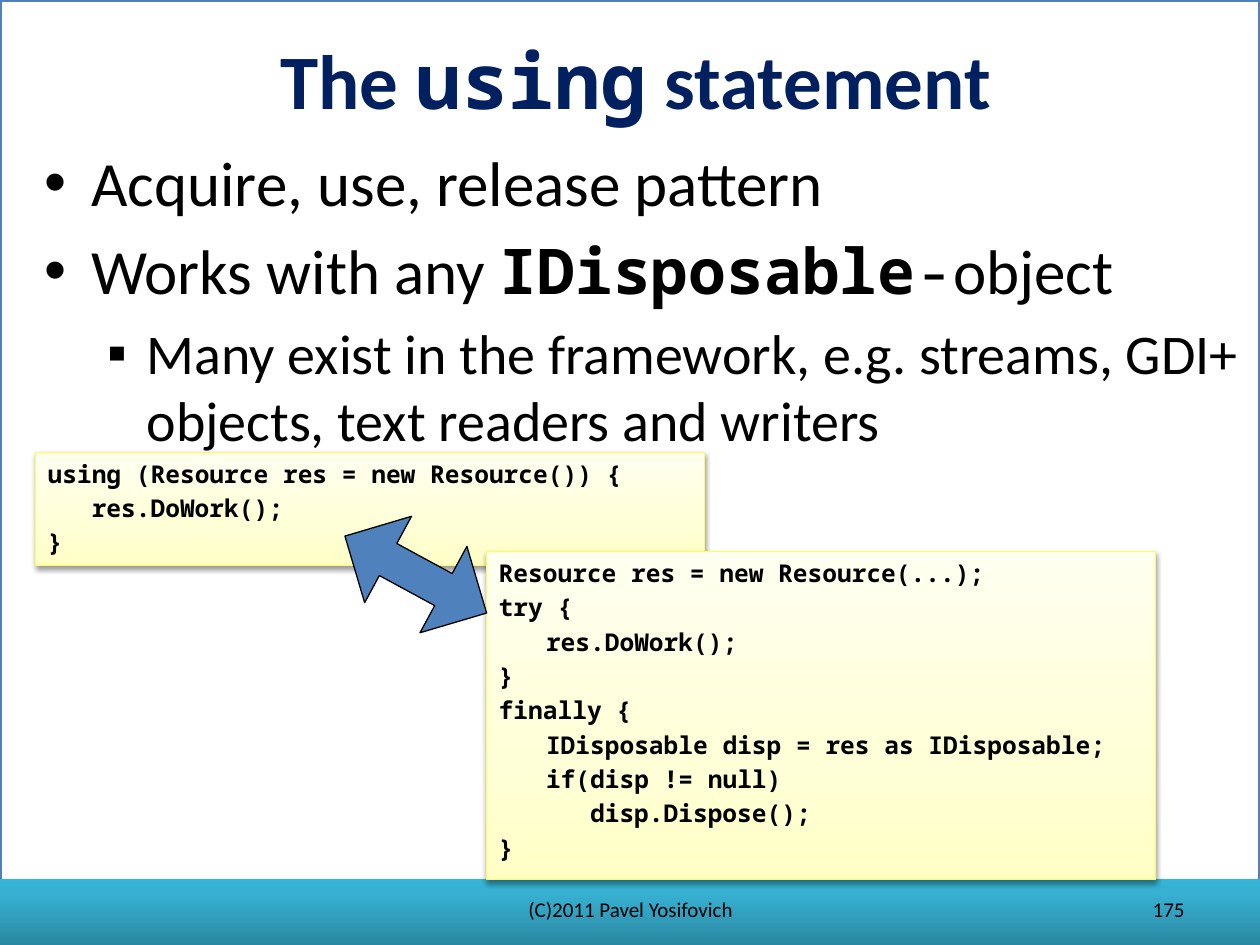
from pptx import Presentation
from pptx.dml.color import RGBColor
from pptx.enum.shapes import MSO_SHAPE as Shape
from pptx.enum.text import MSO_ANCHOR as Anchor, MSO_AUTO_SIZE as AutoSize, PP_ALIGN as Align
from pptx.oxml.ns import qn
from pptx.util import Pt
from lxml.etree import SubElement

COLOURS = {
    "white": "FFFFFF", "black": "000000", "navy": "002060", "blue": "4F81BD",
    "yellow": "FDFD5F",
}
BAND_STOPS = [(0, "2A88A2"), (80, "37B1D2"), (100, "34B4D6")]
CODE_STOPS = [(0, "FFFFC6"), (35, "FFFFD7"), (100, "FFFFF0")]
SANS, MONO = "Calibri", "Noto Sans Mono"

TITLE = [("The ", SANS, True), ("using", MONO, True), (" statement", SANS, True)]
BULLETS = [
    (0, [("Acquire, use, release pattern", SANS, False)]),
    (0, [("Works with any ", SANS, False), ("IDisposable", MONO, True),
         ("-", MONO, False), ("object", SANS, False)]),
    (1, [("Many exist in the framework, e.g. streams, GDI+ objects, "
          "text readers and writers", SANS, False)]),
]
LEVELS = [("•", 36, 27, -27), ("▪", 32, 58.5, -22.5)]
TAB, STEP = 27, 25.2
CODE_BOXES = [
    ((20.16, 258.48, 382.32, 64.8), [
        (0, "using (Resource res = new Resource()) {"),
        (STEP, "res.DoWork();"),
        (0, "}"),
    ]),
    ((277.92, 315.36, 382.32, 187.2), [
        (0, "Resource res = new Resource(...);"),
        (0, "try {"),
        (TAB, "res.DoWork();"),
        (0, "}"),
        (0, "finally {"),
        (TAB, "IDisposable disp = res as IDisposable;"),
        (TAB, "if(disp != null)"),
        (TAB + STEP, "disp.Dispose();"),
        (0, "}"),
    ]),
]
FOOTERS = [
    ("(C)2011 Pavel Yosifovich", (246.24, 509.76, 228.24, 19.44), Align.CENTER),
    ("175", (516.24, 509.76, 167.76, 19.44), Align.RIGHT),
]


def colour(name):
    return RGBColor.from_string(COLOURS[name])


def place(shape, box):
    shape.left, shape.top, shape.width, shape.height = map(Pt, box)


def add_shape(kind, box, fill=None, line=None, weight=0.75):
    shape = slide.shapes.add_shape(kind, *map(Pt, box))
    shape.shadow.inherit = False
    if fill:
        shape.fill.solid()
        shape.fill.fore_color.rgb = colour(fill)
    if line:
        shape.line.color.rgb = colour(line)
        shape.line.width = Pt(weight)
    else:
        shape.line.fill.background()
    return shape


def add_gradient(shape, stops):
    shape.fill.gradient()
    shape.fill.gradient_angle = 90
    stop_list = shape.element.spPr.find(qn("a:gradFill")).find(qn("a:gsLst"))
    for stop in list(stop_list):
        stop_list.remove(stop)
    for position, value in stops:
        stop = SubElement(stop_list, qn("a:gs"), pos=str(position * 1000))
        SubElement(stop, qn("a:srgbClr"), val=value)


def add_shadow(shape, opacity, distance):
    effects = shape.element.spPr.find(qn("a:effectLst"))
    shadow = SubElement(effects, qn("a:outerShdw"), blurRad=str(Pt(3.1)),
                        dist=str(Pt(distance)), dir="5400000", rotWithShape="0")
    shade = SubElement(shadow, qn("a:srgbClr"), val=COLOURS["black"])
    SubElement(shade, qn("a:alpha"), val=str(opacity * 1000))


def set_indent(paragraph, margin, indent):
    properties = paragraph._p.get_or_add_pPr()
    properties.set("marL", str(Pt(margin)))
    properties.set("indent", str(Pt(indent)))
    return properties


def format_paragraph(paragraph, size, name="black"):
    paragraph.font.size = Pt(size)
    paragraph.font.color.rgb = colour(name)


def add_runs(paragraph, runs):
    for text, font, bold in runs:
        run = paragraph.add_run()
        run.text = text
        run.font.name = font
        run.font.bold = bold


def next_paragraph(frame, index):
    return frame.add_paragraph() if index else frame.paragraphs[0]


presentation = Presentation()
presentation.slide_width, presentation.slide_height = Pt(720), Pt(540)
slide = presentation.slides.add_slide(presentation.slide_layouts[1])
title, body = slide.shapes.title, slide.placeholders[1]

page = add_shape(Shape.RECTANGLE, (0, 0, 720, 540), "white", "blue", 2)
band = add_shape(Shape.RECTANGLE, (0, 502.56, 720, 37.44))
add_gradient(band, BAND_STOPS)
add_shadow(band, 35, 1.8)
for shape in (page, band):
    title.element.addprevious(shape.element)

place(title, (14.4, 12.24, 697.68, 65.52))
title.text_frame.auto_size = AutoSize.NONE
title.text_frame.vertical_anchor = Anchor.MIDDLE
heading = title.text_frame.paragraphs[0]
heading.alignment = Align.CENTER
format_paragraph(heading, 44, "navy")
add_runs(heading, TITLE)

place(body, (18, 78.48, 702, 174.24))
body.text_frame.auto_size = AutoSize.NONE
for index, (level, runs) in enumerate(BULLETS):
    symbol, size, margin, indent = LEVELS[level]
    paragraph = next_paragraph(body.text_frame, index)
    paragraph.level = level
    paragraph.space_before = Pt(size * 0.2)
    format_paragraph(paragraph, size)
    properties = set_indent(paragraph, margin, indent)
    bullet = SubElement(properties, qn("a:buChar"), char=symbol)
    properties.find(qn("a:defRPr")).addprevious(bullet)
    add_runs(paragraph, runs)

for text, box, alignment in FOOTERS:
    footer = slide.shapes.add_textbox(*map(Pt, box))
    footer.text_frame.word_wrap = True
    footer.text_frame.vertical_anchor = Anchor.MIDDLE
    paragraph = footer.text_frame.paragraphs[0]
    paragraph.alignment = alignment
    format_paragraph(paragraph, 12)
    add_runs(paragraph, [(text, SANS, False)])

for box, lines in CODE_BOXES:
    code = add_shape(Shape.RECTANGLE, box, line="yellow")
    add_gradient(code, CODE_STOPS)
    add_shadow(code, 38, 1.6)
    code.text_frame.word_wrap = True
    code.text_frame.vertical_anchor = Anchor.TOP
    for index, (margin, text) in enumerate(lines):
        paragraph = next_paragraph(code.text_frame, index)
        paragraph.alignment = Align.LEFT
        paragraph.space_before = Pt(2.8)
        set_indent(paragraph, margin, 0)
        format_paragraph(paragraph, 14)
        add_runs(paragraph, [(text, MONO, True)])

arrow = add_shape(Shape.UP_DOWN_ARROW, (209.52, 282.24, 56.16, 92.16), "blue", "black")
arrow.rotation = 298.5
arrow.adjustments[0], arrow.adjustments[1] = 0.5, 0.372

presentation.save("out.pptx")
